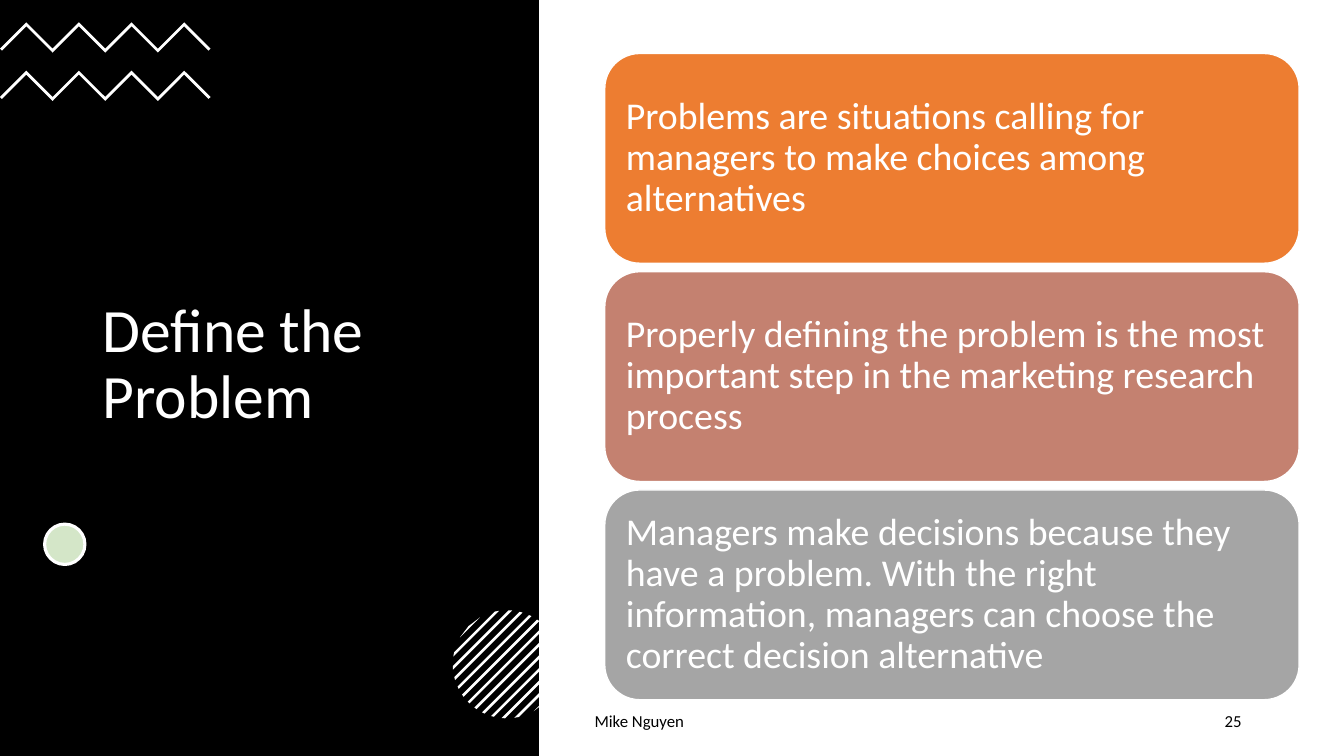
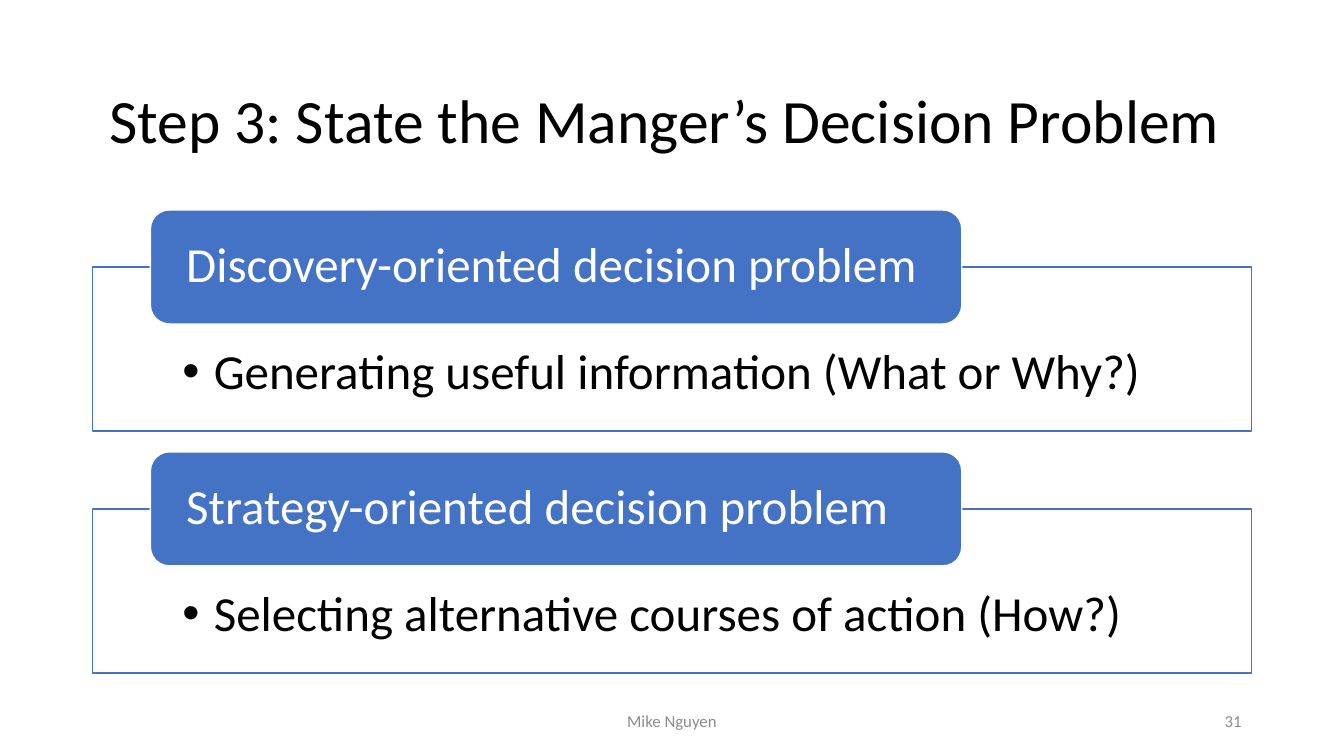
import math
from typing import NamedTuple

from pptx import Presentation
from pptx import util as u
from pptx.dml import color
from pptx.enum import shapes, text

FONT = "Calibri"
WHITE, BLACK, GREY = "FFFFFF", "000000", "8C8C8C"
BLUE, PALE_GREEN = "4472C4", "D4E6C8"
PRESENTER = "Mike Nguyen"
FOOTER_TOP, FOOTER_HEIGHT = 500.5, 28.75
CONTENT_LEFT, CONTENT_WIDTH = 66, 828

Shape = shapes.MSO_SHAPE
Align = text.PP_ALIGN
Anchor = text.MSO_ANCHOR


class Box(NamedTuple):
    """A rectangle in points."""
    left: float
    top: float
    width: float
    height: float


class Card(NamedTuple):
    fill: str
    wording: str


class ProblemType(NamedTuple):
    heading: str
    purpose: str


CARDS = (
    Card("ED7D31", "Problems are situations calling for managers to make choices among alternatives"),
    Card("C48170", "Properly defining the problem is the most important step in the marketing research process"),
    Card("A5A5A5", "Managers make decisions because they have a problem. With the right information, "
                   "managers can choose the correct decision alternative"),
)
PROBLEM_TYPES = (
    ProblemType("Discovery-oriented decision problem", "Generating useful information (What or Why?)"),
    ProblemType("Strategy-oriented decision problem", "Selecting alternative courses of action (How?)"),
)


def rgb(value: str) -> color.RGBColor:
    return color.RGBColor.from_string(value)


def place(shape, box: Box) -> None:
    shape.left, shape.top, shape.width, shape.height = (u.Pt(length) for length in box)


def paint(shape, fill: str, line: str | None = None, line_width: float = 1) -> None:
    shape.fill.solid()
    shape.fill.fore_color.rgb = rgb(fill)
    if line:
        shape.line.color.rgb = rgb(line)
        shape.line.width = u.Pt(line_width)
    else:
        shape.line.fill.background()


def add_preset(slide, preset, box: Box, fill: str, line: str | None = None, line_width: float = 1):
    shape = slide.shapes.add_shape(preset, *(u.Pt(length) for length in box))
    shape.shadow.inherit = False
    paint(shape, fill, line, line_width)
    return shape


def add_polygon(slide, points: list[tuple[float, float]], fill: str) -> None:
    corners = [(u.Pt(x), u.Pt(y)) for x, y in points]
    builder = slide.shapes.build_freeform(*corners[0])
    builder.add_line_segments(corners[1:], close=True)
    polygon = builder.convert_to_shape()
    polygon.shadow.inherit = False
    paint(polygon, fill)


def write(shape, wording: str, *, size: float, ink: str, align=Align.LEFT, anchor=Anchor.MIDDLE,
          line_spacing: float = 0.9, insets: tuple[float, float, float, float] = (7.2, 3.6, 7.2, 3.6),
          hanging: float = 0) -> None:
    """Fill a shape with one formatted paragraph; insets run left, top, right, bottom."""
    frame = shape.text_frame
    frame.text = wording
    frame.word_wrap = True
    frame.auto_size = text.MSO_AUTO_SIZE.NONE
    frame.vertical_anchor = anchor
    frame.margin_left, frame.margin_top, frame.margin_right, frame.margin_bottom = map(u.Pt, insets)
    paragraph = frame.paragraphs[0]
    paragraph.alignment = align
    paragraph.line_spacing = line_spacing
    paragraph.space_before = u.Pt(0)
    if hanging:
        properties = paragraph._p.get_or_add_pPr()
        properties.set("marL", str(u.Pt(hanging)))
        properties.set("indent", str(-u.Pt(hanging)))
    font = paragraph.runs[0].font
    font.name, font.size, font.color.rgb = FONT, u.Pt(size), rgb(ink)


def set_title(slide, wording: str, box: Box, ink: str, align) -> None:
    place(slide.shapes.title, box)
    write(slide.shapes.title, wording, size=44, ink=ink, align=align)


def add_footer(slide, number: int, presenter_left: float, presenter_width: float, ink: str, align) -> None:
    entries = ((PRESENTER, presenter_left, presenter_width, align),
               (str(number), 678, 216, Align.RIGHT))
    for wording, left, width, alignment in entries:
        box = Box(left, FOOTER_TOP, width, FOOTER_HEIGHT)
        label = slide.shapes.add_textbox(*(u.Pt(length) for length in box))
        write(label, wording, size=12, ink=ink, align=alignment, line_spacing=1)


def add_zigzag(slide, top: float) -> None:
    step, thickness, peaks = 18.8, 2.8, 4
    upper = [(i * step, top + step * (1 - i % 2)) for i in range(2 * peaks + 1)]
    lower = [(x, y + thickness) for x, y in upper[1:-1]]
    trim = thickness / 2
    (first_x, first_y), (last_x, last_y) = upper[0], upper[-1]
    lower = [(first_x + trim, first_y + trim), *lower, (last_x - trim, last_y + trim)]
    add_polygon(slide, upper + lower[::-1], WHITE)


def add_striped_circle(slide, center_x: float, center_y: float, radius: float) -> None:
    """Draw a circle made of parallel stripes rising to the right."""
    spacing, half_width = 6.36, 0.92

    def chord(offset: float) -> list[tuple[float, float]]:
        offset = max(-radius, min(radius, offset))
        angle = math.acos(offset / radius)
        return [(center_x + radius * math.cos(math.pi / 4 + turn),
                 center_y + radius * math.sin(math.pi / 4 + turn)) for turn in (angle, -angle)]

    for stripe in range(-6, 7):
        middle = stripe * spacing
        add_polygon(slide, chord(middle - half_width) + chord(middle + half_width)[::-1], WHITE)


def build_definition_slide(presentation) -> None:
    slide = presentation.slides.add_slide(presentation.slide_layouts[5])
    set_title(slide, "Define the Problem", Box(66, 94.5, 252, 333), WHITE, Align.LEFT)
    panel = add_preset(slide, Shape.RECTANGLE, Box(0, 0, 385, 540), BLACK)
    slide.shapes.title.element.addprevious(panel.element)
    for top in (16, 50.5):
        add_zigzag(slide, top)
    add_preset(slide, Shape.OVAL, Box(31.9, 374.4, 28.8, 28.8), PALE_GREEN, WHITE, 2.25)
    add_striped_circle(slide, 362, 474.5, 38.6)
    add_footer(slide, 25, 417.6, 346.3, BLACK, Align.LEFT)
    for index, card in enumerate(CARDS):
        box = Box(432, 38.2 + index * 155.9, 496, 149.8)
        shape = add_preset(slide, Shape.ROUNDED_RECTANGLE, box, card.fill, WHITE)
        write(shape, card.wording, size=27, ink=WHITE, insets=(7.8, 7.8, 7.8, 7.8))


def build_decision_slide(presentation) -> None:
    slide = presentation.slides.add_slide(presentation.slide_layouts[3])
    set_title(slide, "Step 3: State the Manger’s Decision Problem ",
              Box(CONTENT_LEFT, 43.6, CONTENT_WIDTH, 89.3), BLACK, Align.CENTER)
    add_footer(slide, 31, 318, 324, GREY, Align.CENTER)
    for index, problem in enumerate(PROBLEM_TYPES):
        top = 190.8 + index * 172.8
        body = slide.placeholders[index + 1]
        place(body, Box(CONTENT_LEFT, top, CONTENT_WIDTH, 117.2))
        paint(body, WHITE, BLUE)
        write(body, problem.purpose, size=35, ink=BLACK, anchor=Anchor.TOP,
              insets=(64.2, 57, 64.2, 19.4), hanging=22.5)
        heading = add_preset(slide, Shape.ROUNDED_RECTANGLE, Box(107.4, top - 40.8, 579.6, 81.4), BLUE, WHITE)
        write(heading, problem.heading, size=35, ink=WHITE, insets=(21.6, 0, 21.6, 0))


def main() -> None:
    presentation = Presentation()
    presentation.slide_width, presentation.slide_height = u.Pt(960), u.Pt(540)
    build_definition_slide(presentation)
    build_decision_slide(presentation)
    presentation.save("out.pptx")


if __name__ == "__main__":
    main()
